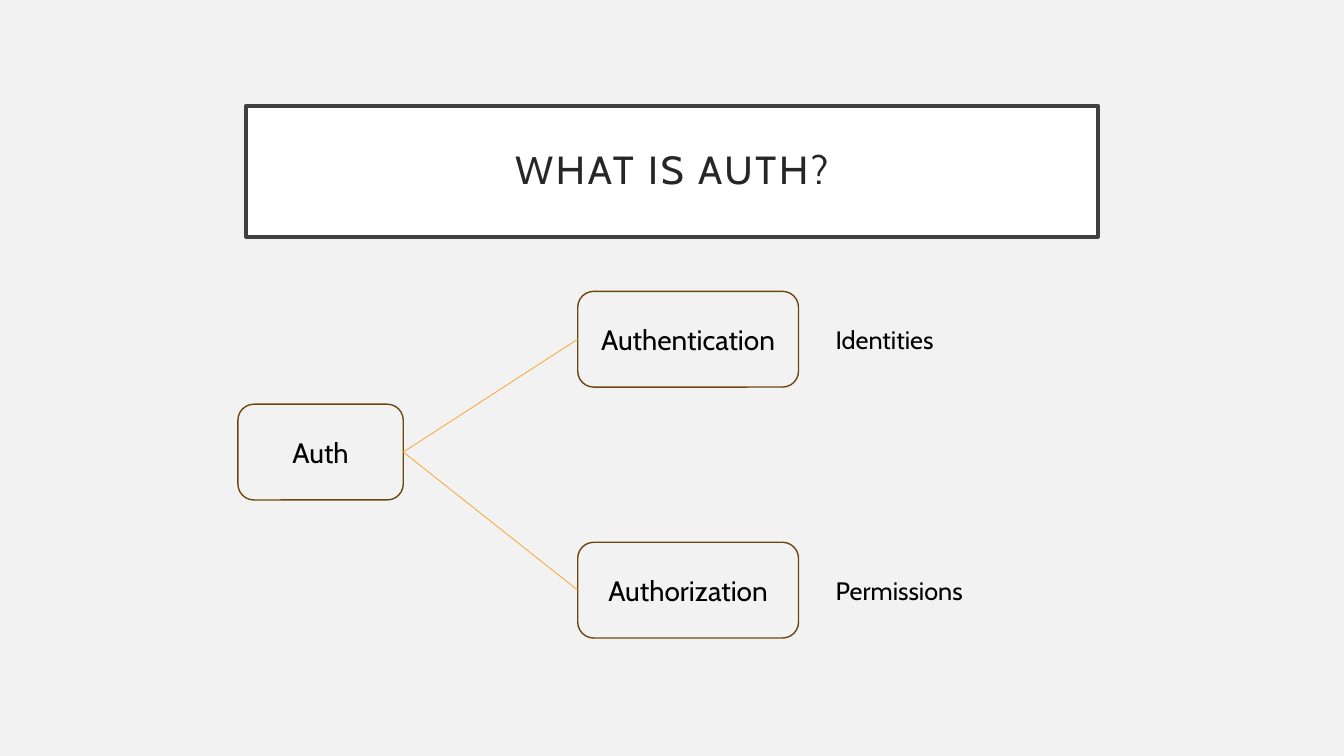
from lxml.etree import SubElement
from pptx import Presentation
from pptx.dml.color import RGBColor
from pptx.enum.shapes import MSO_CONNECTOR, MSO_SHAPE
from pptx.enum.text import MSO_ANCHOR, MSO_AUTO_SIZE, PP_ALIGN
from pptx.oxml.ns import qn
from pptx.util import Inches, Pt

FONT = "Cabin"
COLORS = {
    "back": "F2F2F2",
    "panel": "FFFFFF",
    "frame": "404040",
    "title": "262626",
    "text": "000000",
    "edge": "6C470D",
    "link": "F6A21D",
}


class Deck:
    """Hold the slide and its style, and draw each kind of element."""

    def __init__(self, show):
        """Add a title-only slide with a plain background."""
        self.slide = show.slides.add_slide(show.slide_layouts[5])
        self.paint(self.slide.background.fill, "back")

    def paint(self, fill, color):
        """Fill with one solid colour."""
        fill.solid()
        fill.fore_color.rgb = RGBColor.from_string(COLORS[color])

    def stroke(self, line, color, width):
        """Set the colour and width of a line."""
        self.paint(line.fill, color)
        line.width = Pt(width)

    def letter(self, shape, text, size, color="text", align=PP_ALIGN.CENTER):
        """Put one line of styled text in a shape and return its run."""
        frame = shape.text_frame
        frame.text = text
        frame.word_wrap = True
        para = frame.paragraphs[0]
        para.alignment = align
        run = para.runs[0]
        run.font.name = FONT
        run.font.size = Pt(size)
        run.font.color.rgb = RGBColor.from_string(COLORS[color])
        return run

    def title(self, text, left, top, width, height):
        """Place the title in a framed panel."""
        shape = self.slide.shapes.title
        shape.left, shape.top = Inches(left), Inches(top)
        shape.width, shape.height = Inches(width), Inches(height)
        self.paint(shape.fill, "panel")
        self.stroke(shape.line, "frame", 2.5)
        run = self.letter(shape, text, 28, "title")
        run._r.get_or_add_rPr().set("spc", "200")
        frame = shape.text_frame
        frame.auto_size = MSO_AUTO_SIZE.NONE
        frame.vertical_anchor = MSO_ANCHOR.MIDDLE
        frame.margin_left = frame.margin_right = Inches(0.2)
        frame.margin_top = frame.margin_bottom = Inches(0.2)
        frame.paragraphs[0].line_spacing = 0.9

    def node(self, text, left, top, width, height=0.95):
        """Draw a rounded box with centred text."""
        box = self.slide.shapes.add_shape(
            MSO_SHAPE.ROUNDED_RECTANGLE,
            Inches(left), Inches(top), Inches(width), Inches(height))
        box.shadow.inherit = False
        box.fill.background()
        self.stroke(box.line, "edge", 1)
        self.letter(box, text, 20)
        box.text_frame.vertical_anchor = MSO_ANCHOR.MIDDLE
        return box

    def link(self, start, end):
        """Join the right side of one box to the left side of another."""
        line = self.slide.shapes.add_connector(MSO_CONNECTOR.STRAIGHT, 0, 0, 0, 0)
        line.begin_connect(start, 3)
        line.end_connect(end, 1)
        self.stroke(line.line, "link", 0.5)
        SubElement(line._element.spPr, qn("a:effectLst"))

    def label(self, text, left, top, width=1.64, height=0.4):
        """Add a left-aligned text box."""
        box = self.slide.shapes.add_textbox(
            Inches(left), Inches(top), Inches(width), Inches(height))
        self.letter(box, text, 18, align=PP_ALIGN.LEFT)
        box.text_frame.auto_size = MSO_AUTO_SIZE.SHAPE_TO_FIT_TEXT


def main():
    """Build the slide and save it."""
    show = Presentation()
    show.slide_width, show.slide_height = Inches(13.33), Inches(7.5)
    deck = Deck(show)
    deck.title("WHAT IS AUTH?", 2.44, 1.05, 8.45, 1.3)
    root = deck.node("Auth", 2.36, 4.01, 1.64)
    parts = [("Authentication", "Identities", 2.89),
             ("Authorization", "Permissions", 5.38)]
    for name, topic, top in parts:
        deck.link(root, deck.node(name, 5.73, top, 2.19))
        deck.label(topic, 8.19, top + 0.28)
    show.save("out.pptx")


if __name__ == "__main__":
    main()
